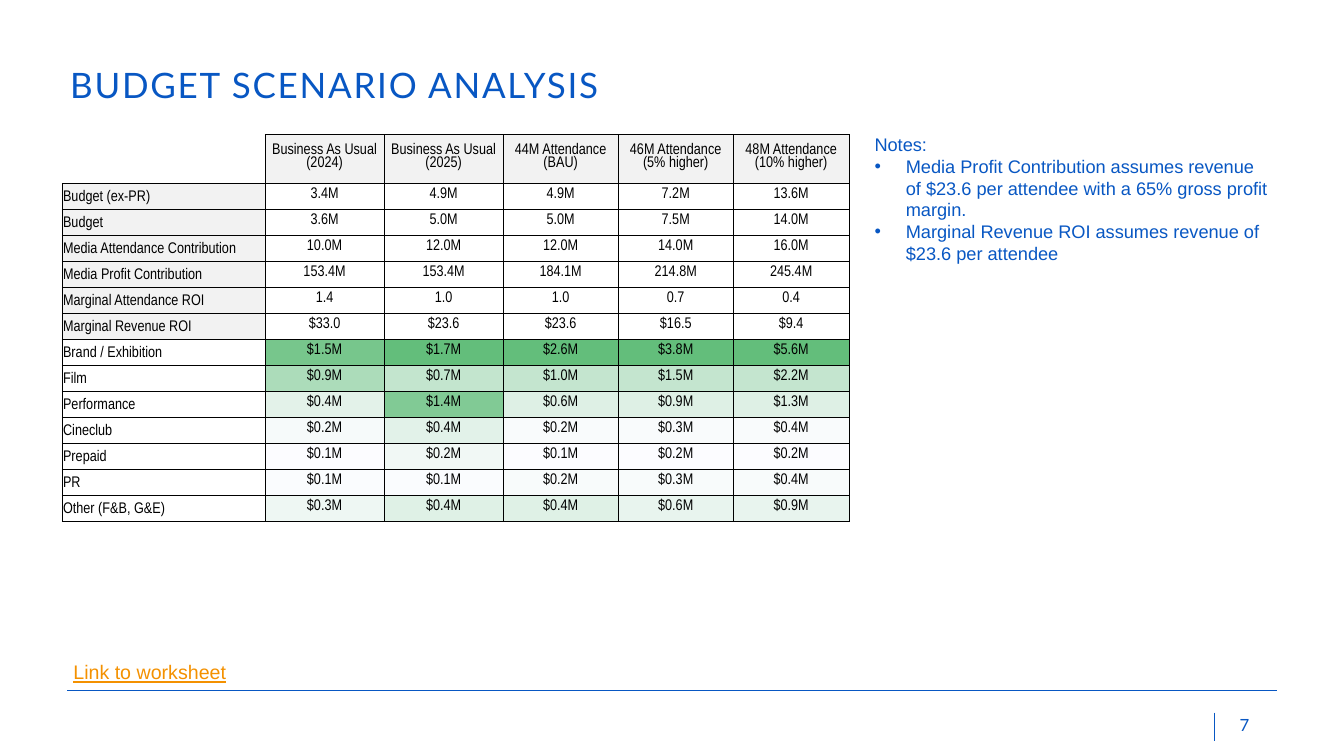
from lxml.etree import SubElement
from pptx import Presentation
from pptx.dml.color import RGBColor as RGB
from pptx.enum.shapes import MSO_CONNECTOR as CONNECTOR
from pptx.enum.text import MSO_ANCHOR as ANCHOR, PP_ALIGN as ALIGN
from pptx.oxml.ns import qn
from pptx.util import Cm, Pt

# Content
TITLE = "BUDGET SCENARIO ANALYSIS"
WORKSHEET = "Link to worksheet"
PAGE = "7"
NOTES_HEADING = "Notes:"
NOTES = [
    "Media Profit Contribution assumes revenue of $23.6 per attendee with a 65% gross profit margin.",
    "Marginal Revenue ROI assumes revenue of $23.6 per attendee",
]
SCENARIOS = ["Business As Usual (2024)", "Business As Usual (2025)", "44M Attendance (BAU)",
             "46M Attendance (5% higher)", "48M Attendance (10% higher)"]
TOTALS = [
    ("Budget (ex-PR)", ["3.4M", "4.9M", "4.9M", "7.2M", "13.6M"]),
    ("Budget", ["3.6M", "5.0M", "5.0M", "7.5M", "14.0M"]),
    ("Media Attendance Contribution", ["10.0M", "12.0M", "12.0M", "14.0M", "16.0M"]),
    ("Media Profit Contribution", ["153.4M", "153.4M", "184.1M", "214.8M", "245.4M"]),
    ("Marginal Attendance ROI", ["1.4", "1.0", "1.0", "0.7", "0.4"]),
    ("Marginal Revenue ROI", ["$33.0", "$23.6", "$23.6", "$16.5", "$9.4"]),
]
CHANNELS = [
    ("Brand / Exhibition", ["$1.5M", "$1.7M", "$2.6M", "$3.8M", "$5.6M"]),
    ("Film", ["$0.9M", "$0.7M", "$1.0M", "$1.5M", "$2.2M"]),
    ("Performance", ["$0.4M", "$1.4M", "$0.6M", "$0.9M", "$1.3M"]),
    ("Cineclub", ["$0.2M", "$0.4M", "$0.2M", "$0.3M", "$0.4M"]),
    ("Prepaid", ["$0.1M", "$0.2M", "$0.1M", "$0.2M", "$0.2M"]),
    ("PR", ["$0.1M", "$0.1M", "$0.2M", "$0.3M", "$0.4M"]),
    ("Other (F&B, G&E)", ["$0.3M", "$0.4M", "$0.4M", "$0.6M", "$0.9M"]),
]
COLORS = {"blue": "0857C3", "orange": "F49100", "black": "000000", "grey": "F2F2F2"}
# Heat colours of each channel, one per scenario
HEAT = {
    "Brand / Exhibition": ["77C68C"] + ["63BE7B"] * 4,
    "Film": ["ACDCBA", "C3E5CE"] + ["C4E5CF"] * 3,
    "Performance": ["E3F2E9", "81CA95"] + ["DEF0E5"] * 3,
    "Cineclub": ["F6FAFA", "E2F2E9"] + ["F9FBFC"] * 3,
    "Prepaid": ["FCFCFF", "F1F8F5"] + ["FCFCFF"] * 3,
    "PR": ["FAFCFE"] * 2 + ["F8FBFB"] * 3,
    "Other (F&B, G&E)": ["EEF7F3"] + ["DFF1E6"] * 2 + ["E8F4EE"] * 2,
}
COLUMN_WIDTHS = [5.11, 3.0, 3.0, 2.9, 2.9, 2.92]
HEADER_HEIGHT, ROW_HEIGHT = 1.24, 0.655

deck = Presentation()
deck.slide_width, deck.slide_height = Cm(33.87), Cm(19.05)
slide = deck.slides.add_slide(deck.slide_layouts[6])


def write(frame, text, font="Arial", size=13, color="blue", align=ALIGN.LEFT, tracking=0,
          underline=None, bullet=False, spacing=None, new=False):
    """Put one formatted paragraph in a text frame."""
    paragraph = frame.add_paragraph() if new else frame.paragraphs[0]
    paragraph.alignment = align
    if spacing:
        paragraph.line_spacing = spacing
    if bullet:
        props = paragraph._p.get_or_add_pPr()
        props.set("marL", str(Cm(0.79)))
        props.set("indent", str(-Cm(0.79)))
        SubElement(props, qn("a:buFont")).set("typeface", "Arial")
        SubElement(props, qn("a:buChar")).set("char", "•")
    run = paragraph.add_run()
    run.text = text
    run.font.name, run.font.size = font, Pt(size)
    run.font.color.rgb = RGB.from_string(COLORS[color])
    run.font.underline = underline
    if tracking:
        run._r.get_or_add_rPr().set("spc", str(int(tracking * 100)))


def text_frame(left, top, width, height, wrap=True, anchor=ANCHOR.TOP):
    frame = slide.shapes.add_textbox(Cm(left), Cm(top), Cm(width), Cm(height)).text_frame
    frame.word_wrap, frame.vertical_anchor = wrap, anchor
    return frame


def rule(x1, y1, x2, y2):
    line = slide.shapes.add_connector(CONNECTOR.STRAIGHT, Cm(x1), Cm(y1), Cm(x2), Cm(y2))
    line.line.color.rgb = RGB.from_string(COLORS["blue"])
    line.line.width = Pt(0.75)
    SubElement(line._element.spPr, qn("a:effectLst"))


def border(cell, **widths):
    """Draw cell edges; widths are in points, in the order L, R, T, B."""
    props = cell._tc.get_or_add_tcPr()
    for place, (edge, width) in enumerate(widths.items()):
        line = props.makeelement(qn("a:ln" + edge), {"w": str(Pt(width))})
        props.insert(place, line)
        fill = SubElement(line, qn("a:solidFill" if width else "a:noFill"))
        if width:
            SubElement(fill, qn("a:srgbClr")).set("val", COLORS["black"])


def fill_cell(cell, text, fill=None, label=False):
    cell.margin_left = cell.margin_right = cell.margin_top = Cm(0.02)
    cell.margin_bottom = Cm(0.13)
    cell.vertical_anchor = ANCHOR.BOTTOM if label else ANCHOR.MIDDLE
    if fill:
        cell.fill.solid()
        cell.fill.fore_color.rgb = RGB.from_string(fill)
    else:
        cell.fill.background()
    if text:
        write(cell.text_frame, text, font="Arial Narrow", size=11, color="black",
              align=ALIGN.LEFT if label else ALIGN.CENTER, spacing=0.9)


# Footer rules and page number
rule(30.6, 17.96, 30.6, 18.67)
rule(1.7, 17.4, 32.18, 17.4)
write(text_frame(30.99, 17.88, 1.12, 0.76, wrap=False), PAGE, font="Lato", size=12, tracking=1.3)

# Title, worksheet line and notes
write(text_frame(1.52, 0.81, 30.25, 2.62, anchor=ANCHOR.MIDDLE), TITLE,
      font="Lato", size=25, tracking=1.3)
write(text_frame(1.6, 16.51, 6.12, 0.86), WORKSHEET, size=14, color="orange", underline=True)
notes = text_frame(21.79, 3.23, 10.39, 4.14)
write(notes, NOTES_HEADING)
for note in NOTES:
    write(notes, note, bullet=True, new=True)

# Scenario table
rows = [("", SCENARIOS)] + TOTALS + CHANNELS
heights = [HEADER_HEIGHT] + [ROW_HEIGHT] * (len(rows) - 1)
table = slide.shapes.add_table(len(rows), len(COLUMN_WIDTHS), Cm(1.57), Cm(3.39),
                               Cm(sum(COLUMN_WIDTHS)), Cm(sum(heights))).table
table.first_row = table.horz_banding = False
for column, width in zip(table.columns, COLUMN_WIDTHS):
    column.width = Cm(width)
last_total = len(TOTALS)
for r, (name, values) in enumerate(rows):
    table.rows[r].height = Cm(heights[r])
    label_fill = COLORS["grey"] if 0 < r <= last_total else None
    value_fills = HEAT.get(name, [COLORS["grey"] if r == 0 else None] * len(values))
    for c, (text, fill) in enumerate(zip([name] + values, [label_fill] + value_fills)):
        cell = table.cell(r, c)
        fill_cell(cell, text, fill, label=c == 0)
        outer = 0 if r == c == 0 else 0.5
        border(cell, L=outer, R=0.5, T=1 if r == last_total + 1 else outer,
               B=1 if r == last_total else 0.5)

deck.save("out.pptx")
